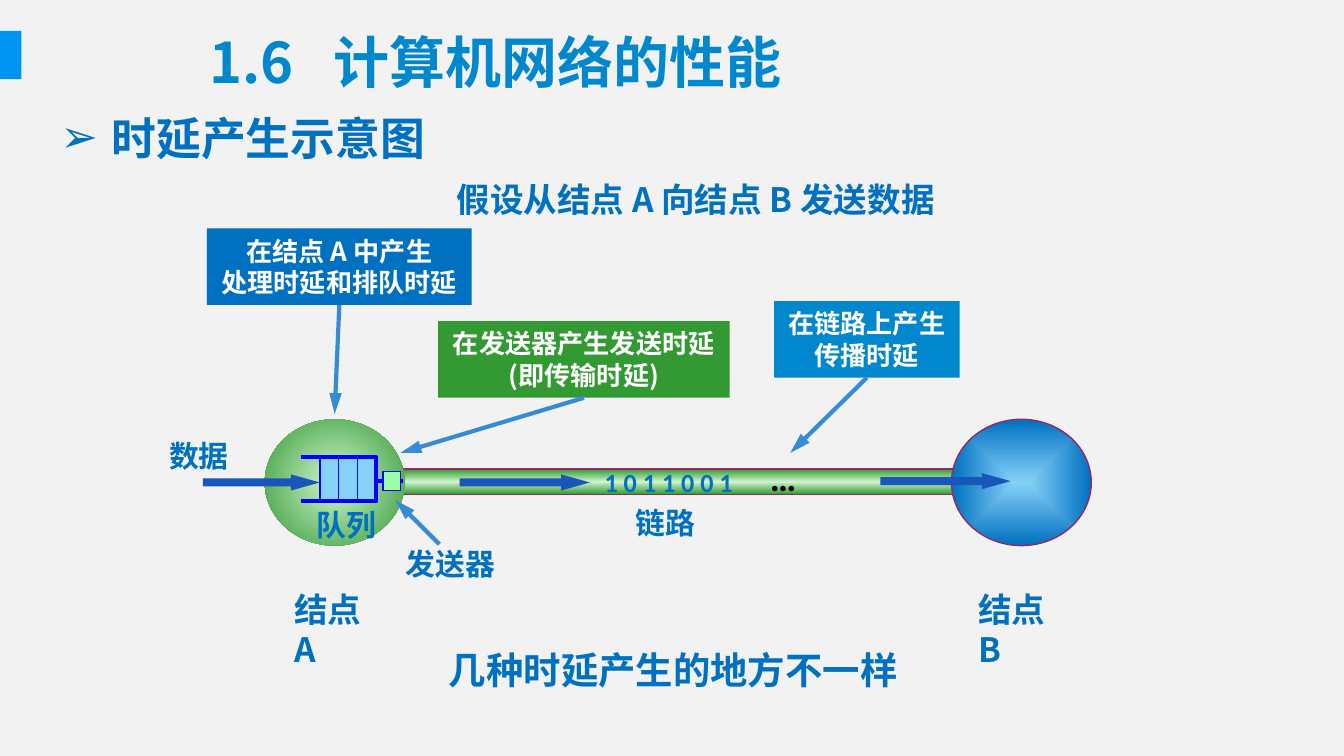
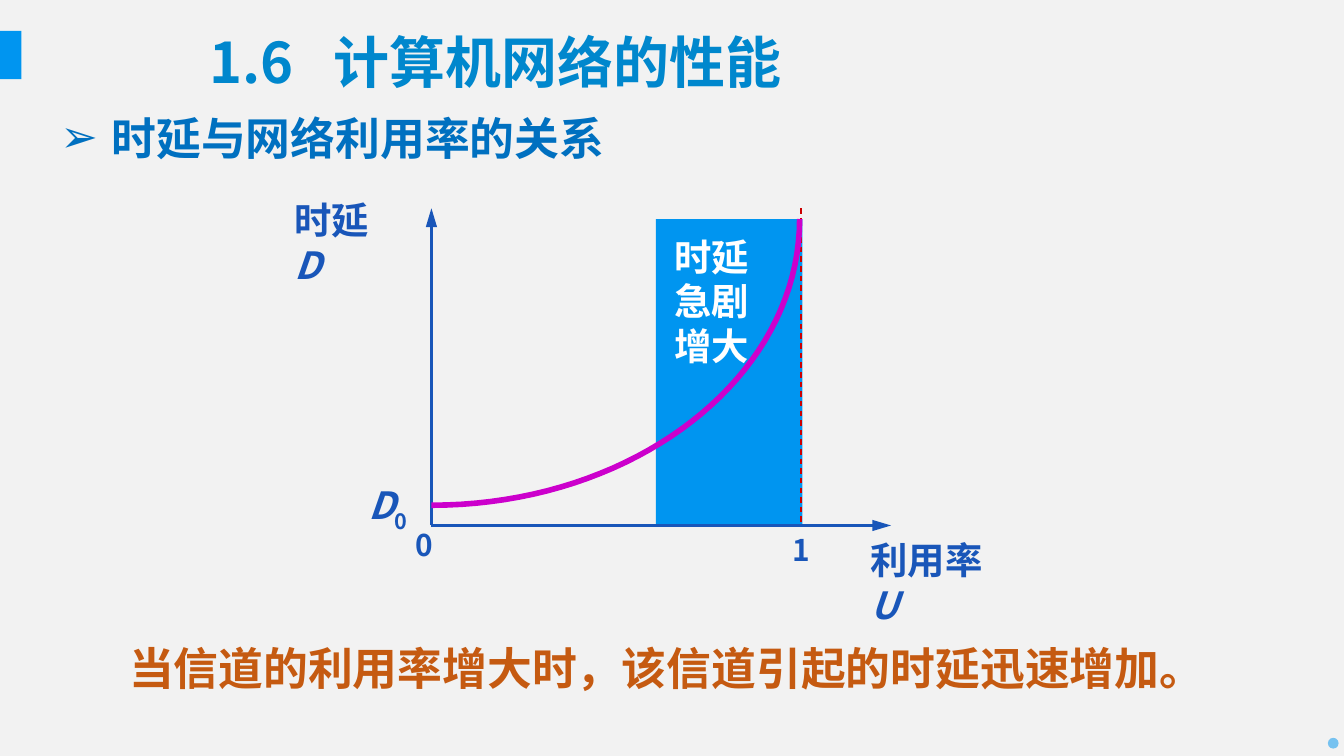
from dataclasses import dataclass

from pptx import Presentation
from pptx.dml.color import RGBColor
from pptx.enum.dml import MSO_LINE
from pptx.enum.shapes import MSO_CONNECTOR, MSO_SHAPE
from pptx.enum.text import MSO_ANCHOR, MSO_AUTO_SIZE, PP_ALIGN
from pptx.oxml import parse_xml
from pptx.oxml.ns import nsdecls, qn
from pptx.util import Emu, Pt
from lxml.etree import SubElement

SCALE = 9144  # EMU per px, 100 px to the inch
CJK, LATIN = "Noto Sans CJK SC", "Calibri"
C = {
    "back": "F2F2F2", "bar": "0095F0", "title": "0087CD", "text": "0070C0",
    "axis": "1956B9", "pointer": "368AD6", "green": "339933", "mint": "CDF3CD",
    "sky": "85D1F7", "edge": "932968", "queue": "0000FF", "sender": "9AFEA6",
    "curve": "CC00CC", "limit": "CC0000", "note": "C55A11",
    "white": "FFFFFF", "black": "000000",
}


@dataclass
class Run:
    text: str
    italic: bool = False
    subscript: bool = False


@dataclass
class Label:
    box: tuple[int, int, int, int]
    runs: tuple[Run, ...]
    size: int
    color: str = "text"
    font: str = CJK
    wrap: bool = False
    centered: bool = False
    leading: int | None = None


@dataclass
class Callout:
    box: tuple[int, int, int, int]
    lines: tuple[str, str]
    color: str
    target: tuple[int, int]


@dataclass
class Line:
    start: tuple[int, int]
    end: tuple[int, int]
    color: str
    width: float
    arrow: bool = False
    dashed: bool = False


def px(*values: float) -> list[Emu]:
    return [Emu(round(v * SCALE)) for v in values]


def rgb(name: str) -> RGBColor:
    return RGBColor.from_string(C[name])


def add_runs(p, runs, size, color, font=CJK) -> None:
    for run in runs:
        r = p.add_run()
        r.text = run.text
        f = r.font
        f.size, f.bold, f.italic, f.name = Pt(size), True, run.italic, font
        f.color.rgb = rgb(color)
        rPr = r._r.get_or_add_rPr()
        SubElement(rPr, qn("a:ea")).set("typeface", CJK)
        if run.subscript:
            rPr.set("baseline", "-25000")


def outline(sp, color: str | None, width: float = 0.75) -> None:
    if color:
        sp.line.color.rgb = rgb(color)
        sp.line.width = Pt(width)
    else:
        sp.line.fill.background()


def add_box(s, kind, box, fill: str | None = None, line: str | None = None):
    sp = s.shapes.add_shape(kind, *px(*box))
    sp.shadow.inherit = False
    if fill:
        sp.fill.solid()
        sp.fill.fore_color.rgb = rgb(fill)
    else:
        sp.fill.background()
    outline(sp, line)
    return sp


def set_gradient(sp, stops, shade: str) -> None:
    """Replace the empty fill by a gradient of (percent, colour) stops."""
    gs = "".join(f'<a:gs pos="{pos * 1000}"><a:srgbClr val="{C[name]}"/></a:gs>'
                 for pos, name in stops)
    spPr = sp._element.spPr
    spPr.replace(spPr.find(qn("a:noFill")), parse_xml(
        f'<a:gradFill {nsdecls("a")} rotWithShape="1"><a:gsLst>{gs}</a:gsLst>{shade}</a:gradFill>'))


def centre_shade(kind: str) -> str:
    return (f'<a:path path="{kind}"><a:fillToRect l="50000" t="50000" '
            'r="50000" b="50000"/></a:path>')


def add_line(s, line: Line):
    cx = s.shapes.add_connector(MSO_CONNECTOR.STRAIGHT, *px(*line.start, *line.end))
    outline(cx, line.color, line.width)
    if line.dashed:
        cx.line.dash_style = MSO_LINE.DASH
    spPr = cx._element.spPr
    if line.arrow:
        head = SubElement(spPr.find(qn("a:ln")), qn("a:tailEnd"))
        head.set("type", "triangle")
        head.set("len", "lg")
    SubElement(spPr, qn("a:effectLst"))
    return cx


def add_path(s, points, color: str, width: float) -> None:
    """Draw an open, unfilled outline through the points."""
    first, *rest = [px(*point) for point in points]
    fb = s.shapes.build_freeform(*first)
    fb.add_line_segments(rest, close=False)
    sp = fb.convert_to_shape()
    sp.shadow.inherit = False
    sp.fill.background()
    outline(sp, color, width)


def add_label(s, label: Label) -> None:
    tf = s.shapes.add_textbox(*px(*label.box)).text_frame
    tf.word_wrap = label.wrap
    tf.auto_size = MSO_AUTO_SIZE.SHAPE_TO_FIT_TEXT
    p = tf.paragraphs[0]
    p.alignment = PP_ALIGN.CENTER if label.centered else PP_ALIGN.LEFT
    if label.leading:
        p.line_spacing = Pt(label.leading)
    add_runs(p, label.runs, label.size, label.color, label.font)


def add_callout(s, callout: Callout) -> None:
    sp = add_box(s, MSO_SHAPE.RECTANGLE, callout.box, callout.color)
    tf = sp.text_frame
    tf.word_wrap = False
    tf.vertical_anchor = MSO_ANCHOR.TOP
    for i, text in enumerate(callout.lines):
        p = tf.add_paragraph() if i else tf.paragraphs[0]
        p.alignment = PP_ALIGN.CENTER
        add_runs(p, [Run(text)], 14, "white")
    x, y, w, h = callout.box
    cx = add_line(s, Line((x + w // 2, y + h), callout.target, "pointer", 2.25, arrow=True))
    cx.begin_connect(sp, 2)


def place(sp, box, anchor):
    """Move a placeholder and return its first paragraph, ready for text."""
    sp.left, sp.top, sp.width, sp.height = px(*box)
    tf = sp.text_frame
    tf.word_wrap, tf.auto_size, tf.vertical_anchor = True, MSO_AUTO_SIZE.NONE, anchor
    p = tf.paragraphs[0]
    p.alignment, p.space_before = PP_ALIGN.LEFT, Pt(0)
    return p


def new_slide(prs, heading: str):
    s = prs.slides.add_slide(prs.slide_layouts[1])
    s.background.fill.solid()
    s.background.fill.fore_color.rgb = rgb("back")
    add_box(s, MSO_SHAPE.RECTANGLE, (0, 23, 16, 36), "bar")

    p = place(s.shapes.title, (146, 14, 811, 63), MSO_ANCHOR.MIDDLE)
    tabs = SubElement(p._p.get_or_add_pPr(), qn("a:tabLst"))
    tab = SubElement(tabs, qn("a:tab"))
    tab.set("pos", str(92 * SCALE))
    tab.set("algn", "l")
    add_runs(p, [Run("1.6\t计算机网络的性能")], 30, "title")

    p = place(s.placeholders[1], (35, 77, 921, 50), MSO_ANCHOR.TOP)
    pPr = p._p.get_or_add_pPr()
    pPr.set("marL", str(38 * SCALE))
    pPr.set("indent", str(-38 * SCALE))
    SubElement(pPr, qn("a:buChar")).set("char", "➢")
    add_runs(p, [Run(heading)], 24, "text", LATIN)
    return s


def delay_sources(prs) -> None:
    s = new_slide(prs, "时延产生示意图")
    link = add_box(s, MSO_SHAPE.RECTANGLE, (294, 349, 421, 19), line="edge")
    set_gradient(link, [(0, "green"), (50, "mint"), (100, "green")], '<a:lin ang="5400000"/>')
    node_a = add_box(s, MSO_SHAPE.OVAL, (197, 312, 104, 94))
    set_gradient(node_a, [(2, "mint"), (100, "green")], centre_shade("circle"))
    node_b = add_box(s, MSO_SHAPE.OVAL, (708, 312, 104, 94), line="edge")
    set_gradient(node_b, [(0, "sky"), (100, "text")], centre_shade("shape"))

    top, bottom = 340, 373
    add_box(s, MSO_SHAPE.RECTANGLE, (238, top, 41, bottom - top), "sky", "queue")
    add_path(s, [(224, top), (280, top), (280, bottom), (224, bottom)], "queue", 2.25)
    for x in range(238, 280, 14):
        add_line(s, Line((x, top), (x, bottom), "queue", 0.75))
    add_line(s, Line((279, 358), (300, 358), "queue", 2.25))
    add_box(s, MSO_SHAPE.RECTANGLE, (285, 351, 13, 14), "sender", "queue")

    for x, y, w in [(342, 353, 97), (151, 353, 87), (655, 352, 97)]:
        flow = add_box(s, MSO_SHAPE.RIGHT_ARROW, (x, y, w, 12), "axis")
        flow.adjustments[0], flow.adjustments[1] = 0.5, 1.79

    for callout in [
        Callout((576, 224, 138, 57), ("在链路上产生", "传播时延"), "title", (588, 337)),
        Callout((326, 239, 217, 57), ("在发送器产生发送时延", "(即传输时延)"), "green", (298, 337)),
        Callout((154, 170, 197, 57), ("在结点 A 中产生", "处理时延和排队时延"), "text", (249, 308)),
    ]:
        add_callout(s, callout)
    add_line(s, Line((327, 405), (294, 372), "pointer", 2.25, arrow=True))

    for label in [
        Label((440, 342, 116, 34), (Run("1 0 1 1 0 0 1"),), 14, font=LATIN),
        Label((563, 333, 41, 38), (Run("…"),), 20, "black", LATIN),
        Label((292, 401, 88, 37), (Run("发送器"),), 16),
        Label((226, 372, 65, 37), (Run("队列"),), 16, font=LATIN),
        Label((116, 321, 65, 37), (Run("数据"),), 16),
        Label((463, 371, 65, 37), (Run("链路"),), 16),
        Label((209, 433, 90, 40), (Run("结点 A"),), 18, wrap=True),
        Label((718, 433, 90, 40), (Run("结点 B"),), 18, wrap=True),
        Label((317, 121, 401, 45), (Run("假设从结点 A 向结点 B 发送数据"),), 18,
              wrap=True, centered=True, leading=27),
        Label((294, 477, 414, 44), (Run("几种时延产生的地方不一样"),), 20,
              wrap=True, centered=True),
    ]:
        add_label(s, label)


def delay_curve(start, control_1, control_2, end, steps: int = 40):
    """Points of a cubic Bézier curve."""
    points = []
    for i in range(steps + 1):
        t = i / steps
        u = 1 - t
        weights = (u ** 3, 3 * u * u * t, 3 * u * t * t, t ** 3)
        points.append(tuple(sum(k * q[axis] for k, q in zip(
            weights, (start, control_1, control_2, end))) for axis in (0, 1)))
    return points


def delay_and_utilisation(prs) -> None:
    s = new_slide(prs, "时延与网络利用率的关系")
    add_box(s, MSO_SHAPE.RECTANGLE, (488, 163, 109, 228), "bar")
    origin = (321, 391)
    add_line(s, Line(origin, (321, 155), "axis", 2, arrow=True))
    add_line(s, Line(origin, (663, 391), "axis", 2, arrow=True))
    add_line(s, Line((596, 155), (596, 391), "limit", 0.75, dashed=True))
    add_path(s, delay_curve((321, 376), (472, 376), (595, 281), (595, 163)), "curve", 3)

    for label in [
        Label((209, 142, 100, 44), (Run("时延 "), Run("D", italic=True)), 20, "axis", wrap=True),
        Label((638, 395, 126, 44), (Run("利用率 "), Run("U", italic=True)), 20, "axis", wrap=True),
        Label((580, 391, 34, 37), (Run("1"),), 16, "axis"),
        Label((299, 387, 34, 37), (Run("0"),), 16, "axis"),
        Label((264, 354, 54, 44), (Run("D", italic=True), Run("0", subscript=True)), 20, "axis"),
        Label((492, 169, 77, 111), (Run("时延急剧增大"),), 20, "white", wrap=True),
        Label((59, 472, 874, 50), (Run("当信道的利用率增大时，该信道引起的时延迅速增加。"),),
              24, "note", wrap=True, centered=True),
    ]:
        add_label(s, label)

    dot = add_box(s, MSO_SHAPE.OVAL, (988, 549, 8, 8), "bar")
    color = dot._element.spPr.find(qn("a:solidFill"))[0]
    SubElement(color, qn("a:alpha")).set("val", "51000")


def main() -> None:
    prs = Presentation()
    prs.slide_width = px(1000)[0]
    prs.slide_height = Emu(prs.slide_width * 9 // 16)
    delay_sources(prs)
    delay_and_utilisation(prs)
    prs.save("out.pptx")


if __name__ == "__main__":
    main()
